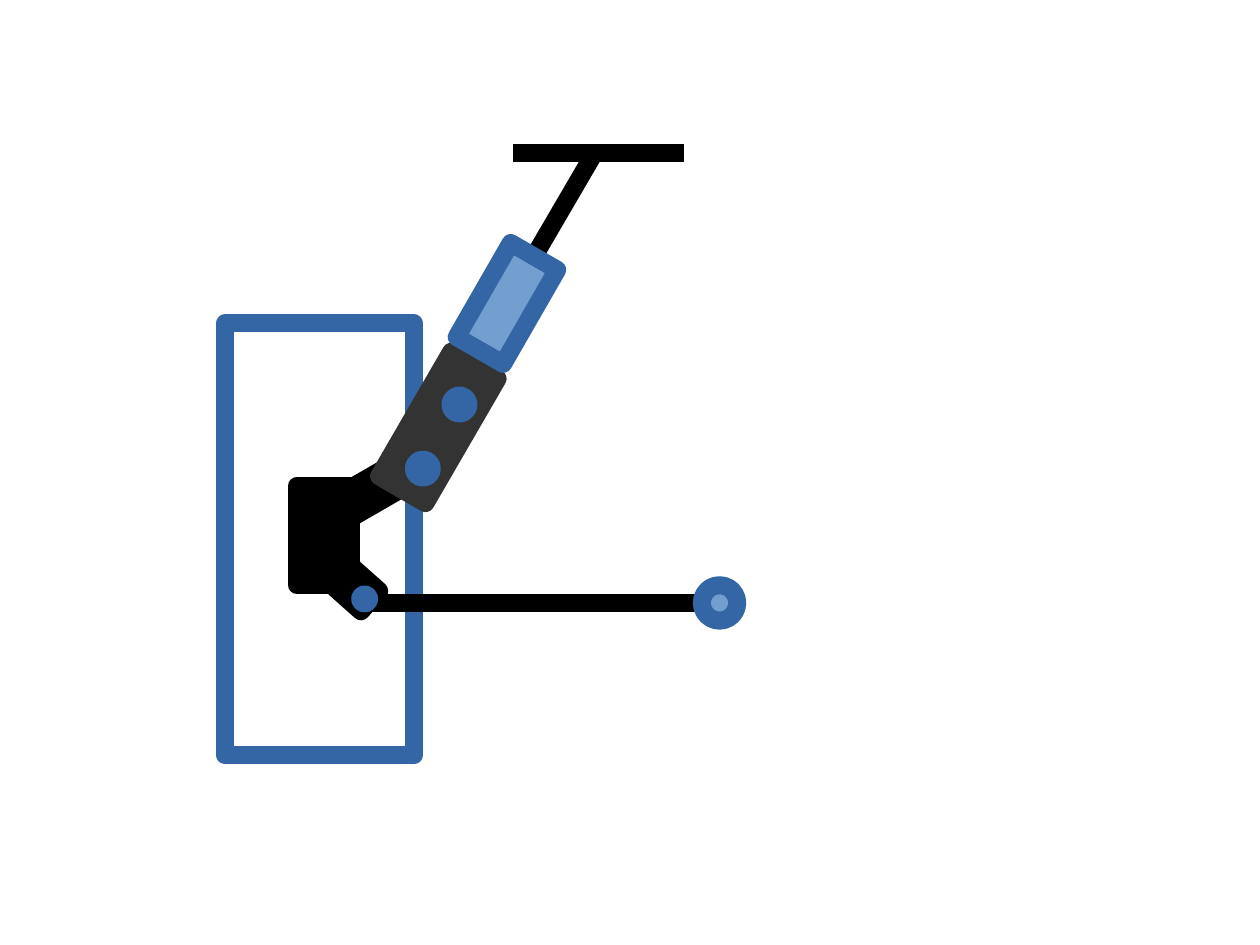
"""Draw a linkage diagram: a housing, a jointed arm and a lever with a roller."""
from lxml.etree import SubElement
from pptx import Presentation
from pptx.dml.color import RGBColor
from pptx.enum.shapes import MSO_CONNECTOR, MSO_SHAPE
from pptx.oxml.ns import qn
from pptx.util import Inches, Pt

BLACK = RGBColor(0x00, 0x00, 0x00)
DARK = RGBColor(0x33, 0x33, 0x33)
BLUE = RGBColor(0x34, 0x65, 0xA4)
LIGHT = RGBColor(0x72, 0x9F, 0xCF)
STROKE = Pt(11.34)
RECT, OVAL = MSO_SHAPE.RECTANGLE, MSO_SHAPE.OVAL
CM_PER_INCH = 2.54

prs = Presentation()
prs.slide_width = Inches(28 / CM_PER_INCH)
prs.slide_height = Inches(21 / CM_PER_INCH)
s = prs.slides.add_slide(prs.slide_layouts[6])
linkage = s.shapes.add_group_shape().shapes


def add_part(kind, left, top, width, height, fill, line, rotation=0):
    sp = linkage.add_shape(kind, Inches(left), Inches(top), Inches(width), Inches(height))
    sp.rotation = rotation
    sp.shadow.inherit = False
    if fill is None:
        sp.fill.background()
    else:
        sp.fill.solid()
        sp.fill.fore_color.rgb = fill
    sp.line.color.rgb = line
    sp.line.width = STROKE
    SubElement(sp._element.spPr.find(qn("a:ln")), qn("a:round"))


def add_rod(x1, y1, x2, y2):
    rod = linkage.add_connector(
        MSO_CONNECTOR.STRAIGHT, Inches(x1), Inches(y1), Inches(x2), Inches(y2))
    rod.line.color.rgb = BLACK
    rod.line.width = STROKE
    SubElement(rod._element.spPr, qn("a:effectLst"))


add_part(RECT, 1.97, 2.83, 1.65, 3.78, None, BLUE)
add_part(RECT, 2.6, 4.25, 0.47, 0.87, BLACK, BLACK)
add_part(RECT, 2.95, 5.03, 0.33, 0.24, BLACK, BLACK, 41.6)
add_part(RECT, 3.01, 4.15, 0.59, 0.23, BLACK, BLACK, 330)

add_rod(3.15, 5.28, 6.38, 5.28)
add_part(OVAL, 3.15, 5.2, 0.08, 0.08, LIGHT, BLUE)

add_part(RECT, 3.6, 3.11, 0.47, 1.26, DARK, DARK, 30.1)
add_part(OVAL, 3.62, 4.02, 0.16, 0.16, LIGHT, BLUE)

add_rod(4.33, 2.83, 5.2, 1.34)
add_part(RECT, 4.2, 2.18, 0.47, 0.95, LIGHT, BLUE, 29.9)
add_part(OVAL, 6.14, 5.12, 0.31, 0.31, LIGHT, BLUE)
add_rod(4.49, 1.34, 5.98, 1.34)
add_part(OVAL, 3.94, 3.46, 0.16, 0.16, LIGHT, BLUE)

prs.save("out.pptx")
